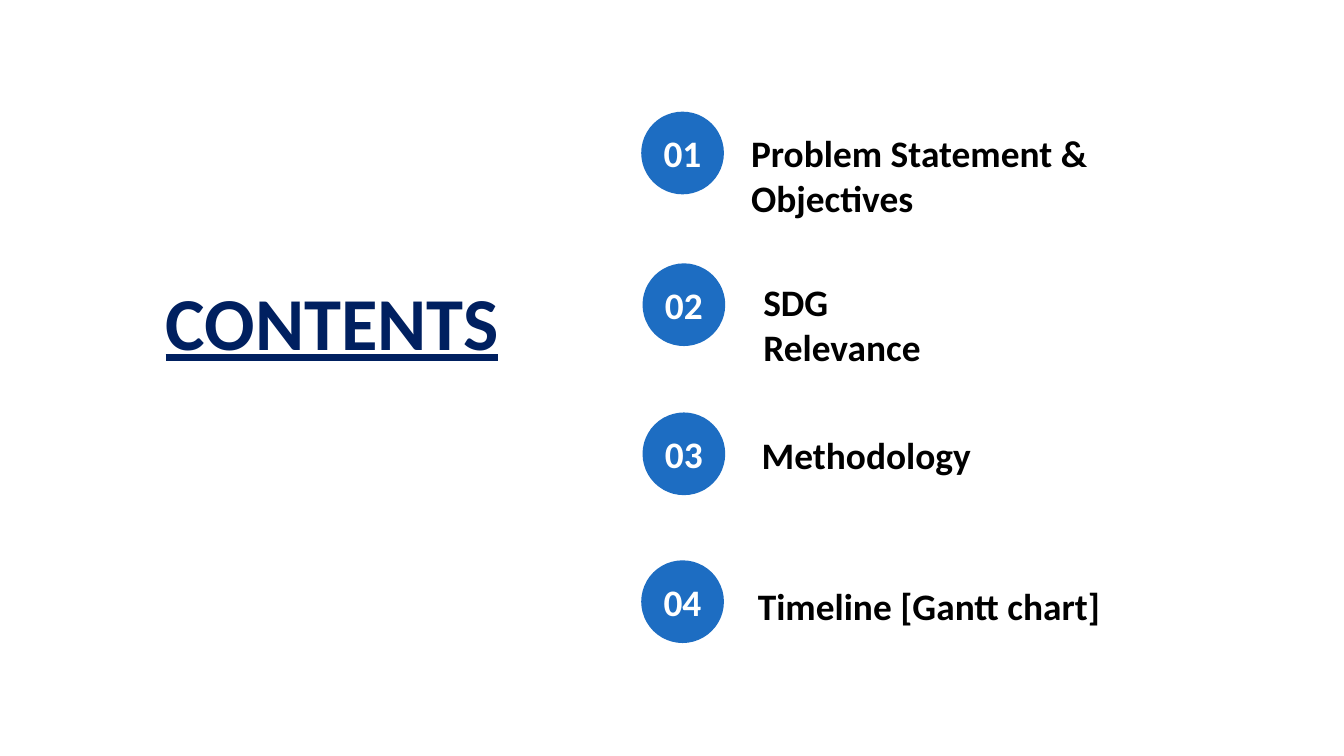
from pptx import Presentation
from pptx.dml.color import RGBColor
from pptx.enum.shapes import MSO_SHAPE as Shape
from pptx.enum.text import MSO_ANCHOR as Anchor, PP_ALIGN as Align
from pptx.util import Pt

NAVY = RGBColor(0x00, 0x20, 0x60)
BLUE = RGBColor(0x1D, 0x6D, 0xC2)
BLACK = RGBColor(0x00, 0x00, 0x00)
WHITE = RGBColor(0xFF, 0xFF, 0xFF)
FONT = "Calibri"

# Content: topic, its left, top and width, then the left and top of its circle
TITLE = "CONTENTS"
TOPICS = [
    ("Problem Statement & Objectives", 395.3, 66.2, 280, 343.5, 59.8),
    ("SDG Relevance", 401.8, 146.2, 132, 344.2, 141.1),
    ("Methodology", 401, 228.2, 135, 344.2, 221),
    ("Timeline [Gantt chart]", 398.9, 308.9, 205, 343.5, 300.2),
]
CIRCLE_SIZE = 44.3
LABEL_HEIGHT = 31.5


def write(shape, text, size, color, align=Align.LEFT, underline=False):
    paragraph = shape.text_frame.paragraphs[0]
    paragraph.alignment = align
    run = paragraph.add_run()
    run.text = text
    font = run.font
    font.name, font.size, font.bold = FONT, Pt(size), True
    font.color.rgb = color
    if underline:
        font.underline = True


presentation = Presentation()
presentation.slide_width, presentation.slide_height = Pt(720), Pt(405)
slide = presentation.slides.add_slide(presentation.slide_layouts[6])

# Title
title = slide.shapes.add_textbox(Pt(81.4), Pt(144), Pt(193), Pt(55.7))
title.text_frame.word_wrap = False
write(title, TITLE, 40, NAVY, Align.CENTER, underline=True)

# Topics with numbered circles
for number, (topic, left, top, width, circle_left, circle_top) in enumerate(TOPICS, 1):
    label = slide.shapes.add_textbox(Pt(left), Pt(top), Pt(width), Pt(LABEL_HEIGHT))
    label.text_frame.word_wrap = True
    write(label, topic, 20, BLACK)

    circle = slide.shapes.add_shape(
        Shape.OVAL, Pt(circle_left), Pt(circle_top), Pt(CIRCLE_SIZE), Pt(CIRCLE_SIZE))
    circle.shadow.inherit = False
    circle.fill.solid()
    circle.fill.fore_color.rgb = BLUE
    circle.line.fill.background()
    circle.text_frame.word_wrap = False
    circle.text_frame.vertical_anchor = Anchor.MIDDLE
    write(circle, f"{number:02d}", 20, WHITE, Align.CENTER)

presentation.save("out.pptx")
